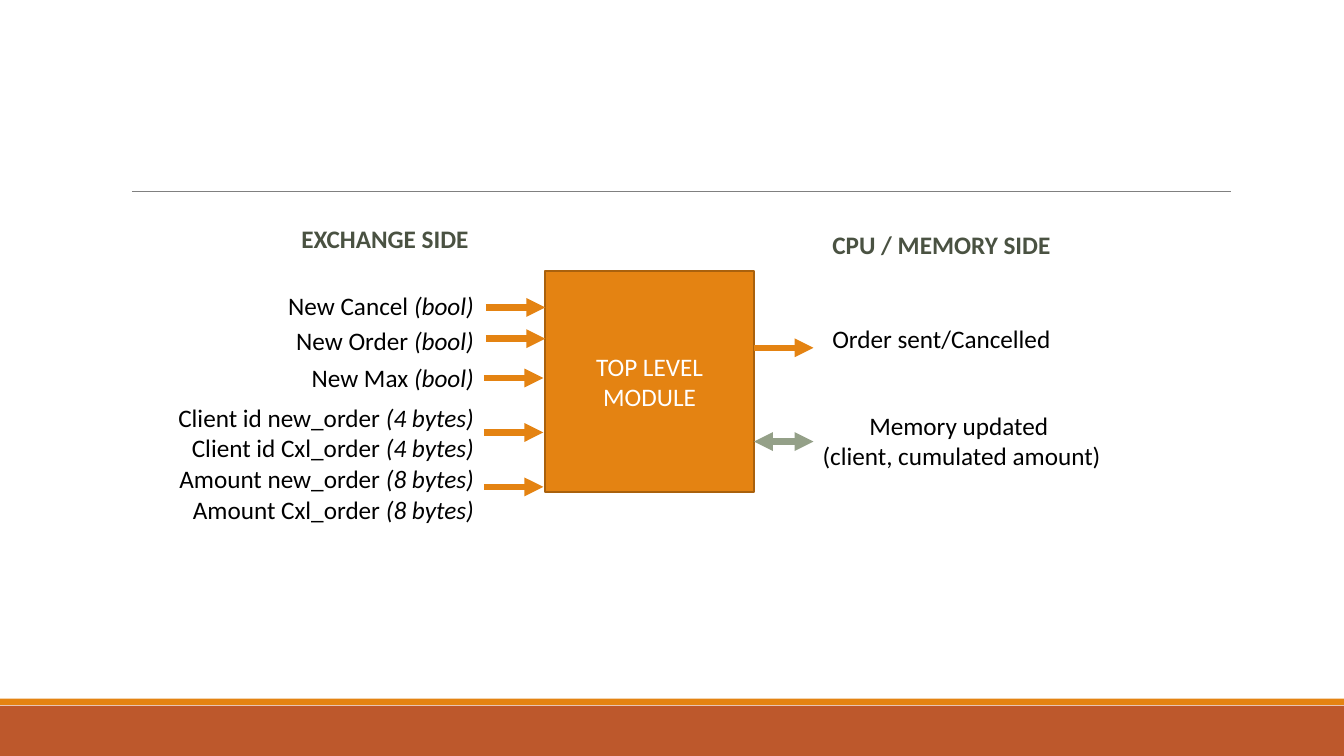
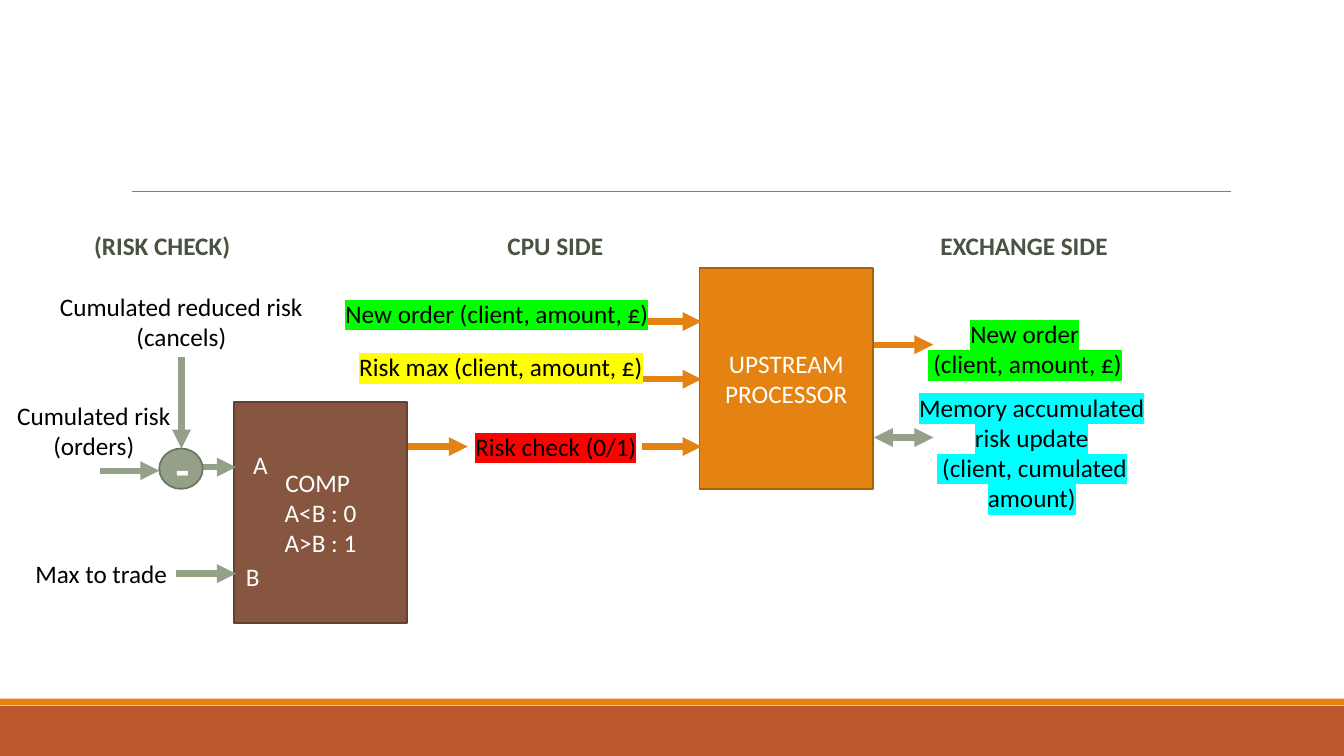
from lxml import etree
from pptx import Presentation
from pptx.dml.color import RGBColor
from pptx.enum.shapes import MSO_CONNECTOR, MSO_SHAPE
from pptx.enum.text import MSO_ANCHOR, PP_ALIGN
from pptx.oxml.ns import qn
from pptx.util import Pt

RECTANGLE, OVAL = MSO_SHAPE.RECTANGLE, MSO_SHAPE.OVAL
STRAIGHT = MSO_CONNECTOR.STRAIGHT
MIDDLE = MSO_ANCHOR.MIDDLE
CENTER, RIGHT = PP_ALIGN.CENTER, PP_ALIGN.RIGHT

THEME = {
    "font": "Calibri",
    "orange": "E48312", "orange edge": "A9610D",
    "brown": "865640", "brown edge": "63402F",
    "sage": "94A088", "sage edge": "6D7665",
    "rust": "BD582C", "rule": "808080",
    "green": "00FF00", "yellow": "FFFF00", "red": "FF0000", "cyan": "00FFFF",
    "heading": {"size": Pt(18), "bold": True, "color": "4A5242", "align": CENTER},
    "label": {"size": Pt(18), "color": "000000", "align": CENTER},
    "signal": {"size": Pt(18), "color": "000000", "align": RIGHT},
    "block": {"size": Pt(18), "color": "FFFFFF", "align": CENTER},
    "operator": {"size": Pt(32), "bold": True, "color": "FFFFFF", "align": CENTER},
}
ARROW = 42.5
LINE = 21.6
INPUT_RIGHT = 345.6


def write(box, lines, style, highlight=None):
    look = dict(THEME[style])
    align, color = look.pop("align"), look.pop("color")
    frame = box.text_frame
    frame.word_wrap = True
    for index, line in enumerate(lines):
        para = frame.add_paragraph() if index else frame.paragraphs[0]
        para.alignment = align
        for text, italic in zip(line if isinstance(line, tuple) else (line,), (False, True)):
            span = para.add_run()
            span.text = text
            span.font.color.rgb = RGBColor.from_string(color)
            if highlight:
                mark = etree.SubElement(span.font._element, qn("a:highlight"))
                etree.SubElement(mark, qn("a:srgbClr"), val=THEME[highlight])
            for name, value in {**look, "italic": italic, "name": THEME["font"]}.items():
                setattr(span.font, name, value)


def draw(page, kind, place, color, edge=None, weight=1.25, ends=()):
    place = [Pt(value) for value in place]
    if kind is STRAIGHT:
        item = page.shapes.add_connector(kind, *place)
        item.line.color.rgb = RGBColor.from_string(THEME[color])
        item.line.width = Pt(weight)
        for end in ends:
            etree.SubElement(item.element.spPr.find(qn("a:ln")), qn(f"a:{end}"), type="triangle")
        etree.SubElement(item.element.spPr, qn("a:effectLst"))
        return item
    item = page.shapes.add_shape(kind, *place)
    item.shadow.inherit = False
    item.fill.solid()
    item.fill.fore_color.rgb = RGBColor.from_string(THEME[color])
    if edge:
        item.line.color.rgb = RGBColor.from_string(THEME[edge])
        item.line.width = Pt(weight)
    else:
        item.line.fill.background()
    item.text_frame.vertical_anchor = MIDDLE
    return item


module_view = {
    "blocks": [
        (RECTANGLE, (389.5, 193.7, 149, 157.7), "orange", ["TOP LEVEL MODULE"], "block"),
    ],
    "arrows": [
        (347, 219.6, "orange"),
        (347, 241.9, "orange"),
        (345.6, 270, "orange"),
        (345.6, 308.9, "orange"),
        (345.6, 347.8, "orange"),
        (538.6, 248.4, "orange"),
        (538.6, 315.4, "sage", True),
    ],
    "labels": [
        (181.4, 156.2, 187.2, ["EXCHANGE SIDE"], "heading"),
        (578.9, 160.6, 187.2, ["CPU / MEMORY SIDE"], "heading"),
        (576.7, 227.5, 191.5, ["Order sent/Cancelled"], "label"),
        (568.1, 289.4, 237.6, ["Memory updated ", "(client, cumulated amount)"], "label"),
    ],
}
signals = [
    (203.8, [("New Cancel ", "(bool)")]),
    (229, [("New Order ", "(bool)")]),
    (255.6, [("New Max ", "(bool)")]),
    (283.7, [("Client id new_order ", "(4 bytes)"), ("Client id Cxl_order ", "(4 bytes)")]),
    (327.6, [("Amount new_order ", "(8 bytes)"), ("Amount Cxl_order ", "(8 bytes)")]),
]
for top, lines in signals:
    module_view["labels"].append((INPUT_RIGHT - 236, top, 236, lines, "signal"))

processor_view = {
    "blocks": [
        (RECTANGLE, (499.7, 191.5, 124, 157.7), "orange", ["UPSTREAM PROCESSOR"], "block"),
        (RECTANGLE, (167, 287.3, 124, 157.7), "brown", ["COMP ", "A<B : 0", "A>B : 1"], "block"),
    ],
    "arrows": [
        (458.6, 229.7, "orange"),
        (458.6, 270.9, "orange"),
        (458.6, 319, "orange"),
        (291.6, 319, "orange"),
        (624.2, 246.2, "orange"),
        (624.2, 312.5, "sage", True),
        (126, 333.7, "sage"),
        (126, 409.7, "sage"),
        (71.3, 336.2, "sage"),
    ],
    "labels": [
        (22.3, 161.3, 187.2, ["(RISK CHECK)"], "heading"),
        (303.1, 161.3, 187.2, ["CPU SIDE"], "heading"),
        (637.9, 161.3, 187.2, ["EXCHANGE SIDE"], "heading"),
        (223.9, 209.5, 262.1, ["New order (client, amount, £)"], "label", "green"),
        (237.6, 247.7, 240.5, ["Risk max (client, amount, £)"], "label", "yellow"),
        (322.6, 304.6, 149, ["Risk check (0/1)"], "label", "red"),
        (643.7, 223.9, 176.4, ["New order", " (client, amount, £)"], "label", "green"),
        (643.7, 276.5, 186.5, ["Memory accumulated risk update", " (client, cumulated amount)"],
         "label", "cyan"),
        (30.2, 204.5, 198.7, ["Cumulated reduced risk (cancels)"], "label"),
        (-1.4, 282.2, 136.8, ["Cumulated risk (orders)"], "label"),
        (-2.2, 395.3, 149, ["Max to trade"], "label"),
        (171.7, 317.5, 28.8, ["A"], "block"),
        (166.2, 397.4, 28.8, ["B"], "block"),
    ],
}

deck = Presentation()
deck.slide_width, deck.slide_height = Pt(960), Pt(540)
layout = deck.slide_layouts[6]
for placeholder in list(layout.placeholders):
    layout.shapes.element.remove(placeholder.element)

pages = [deck.slides.add_slide(layout) for view in (module_view, processor_view)]
shared = [
    draw(pages[0], RECTANGLE, (0, 504, 960, 36), "rust"),
    draw(pages[0], RECTANGLE, (0, 499, 960, 4.6), "orange"),
    draw(pages[0], STRAIGHT, (94.3, 136.6, 879, 136.6), "rule", weight=0.5),
]
for item in shared:
    layout.shapes.element.append(item.element)

for page, view in zip(pages, (module_view, processor_view)):
    for kind, place, color, lines, style in view["blocks"]:
        write(draw(page, kind, place, color, f"{color} edge"), lines, style)
    for left, top, color, *double in view["arrows"]:
        draw(page, STRAIGHT, (left, top, left + ARROW, top), color, weight=4.5,
             ends=("headEnd", "tailEnd") if double else ("tailEnd",))
    for left, top, width, lines, *look in view["labels"]:
        box = page.shapes.add_textbox(Pt(left), Pt(top), Pt(width), Pt(7.2 + LINE * len(lines)))
        write(box, lines, *look)

subtract = draw(pages[1], OVAL, (113.8, 320.4, 31, 28.8), "sage", "sage edge")
write(subtract, ["-"], "operator")
draw(pages[1], STRAIGHT, (129.6, 254.9, 129.6, 320.4), "sage", weight=4.5, ends=("tailEnd",))

deck.save("out.pptx")
